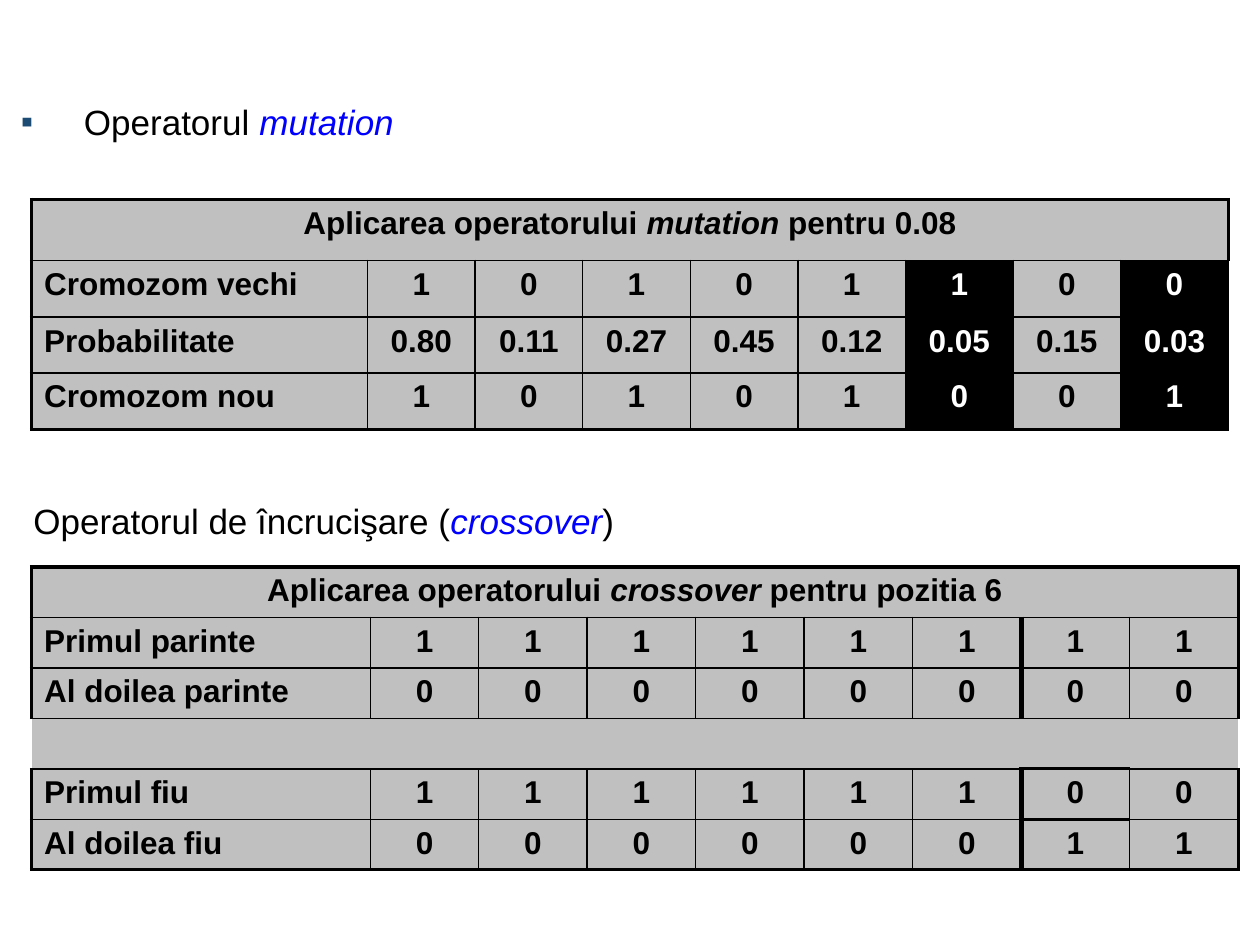
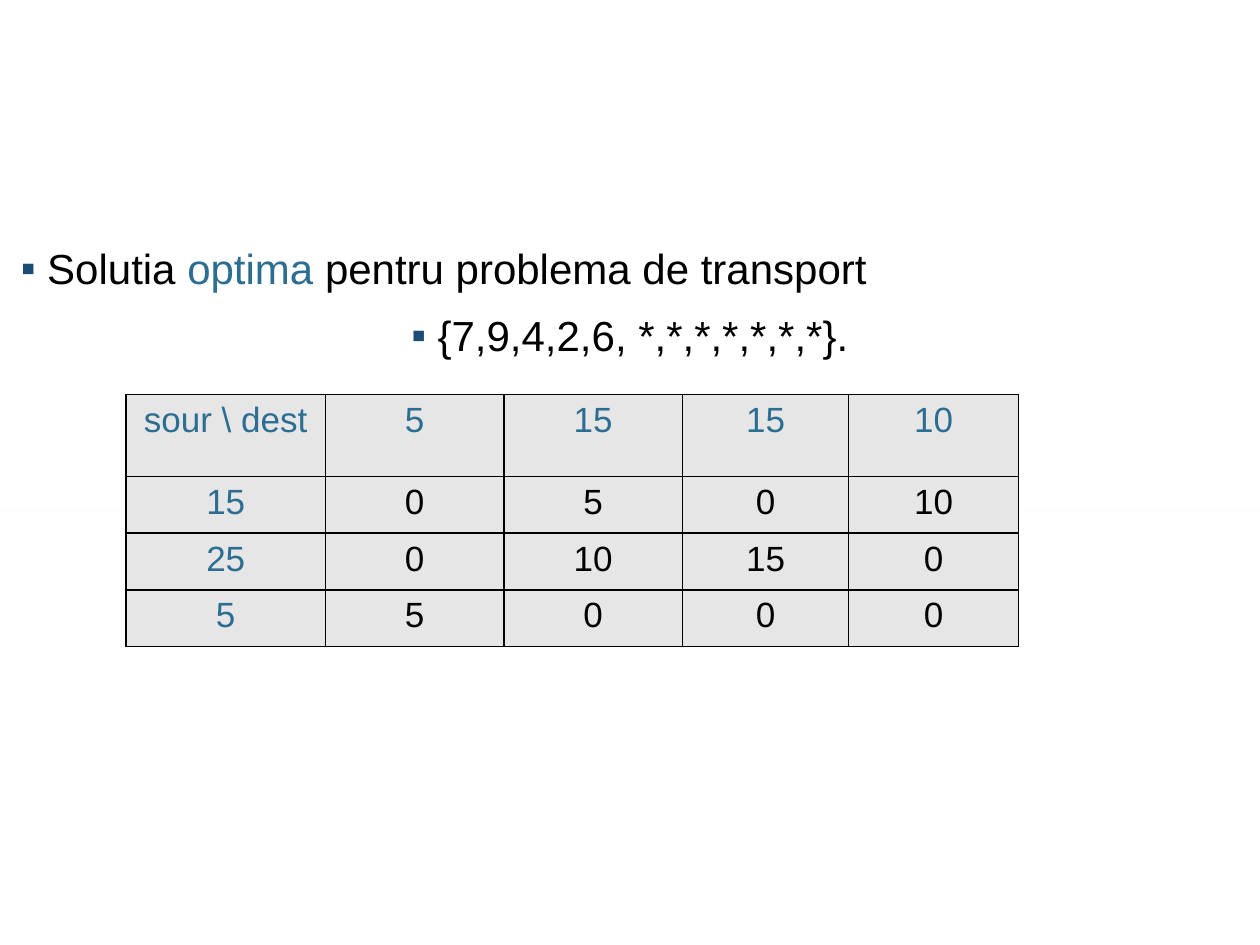
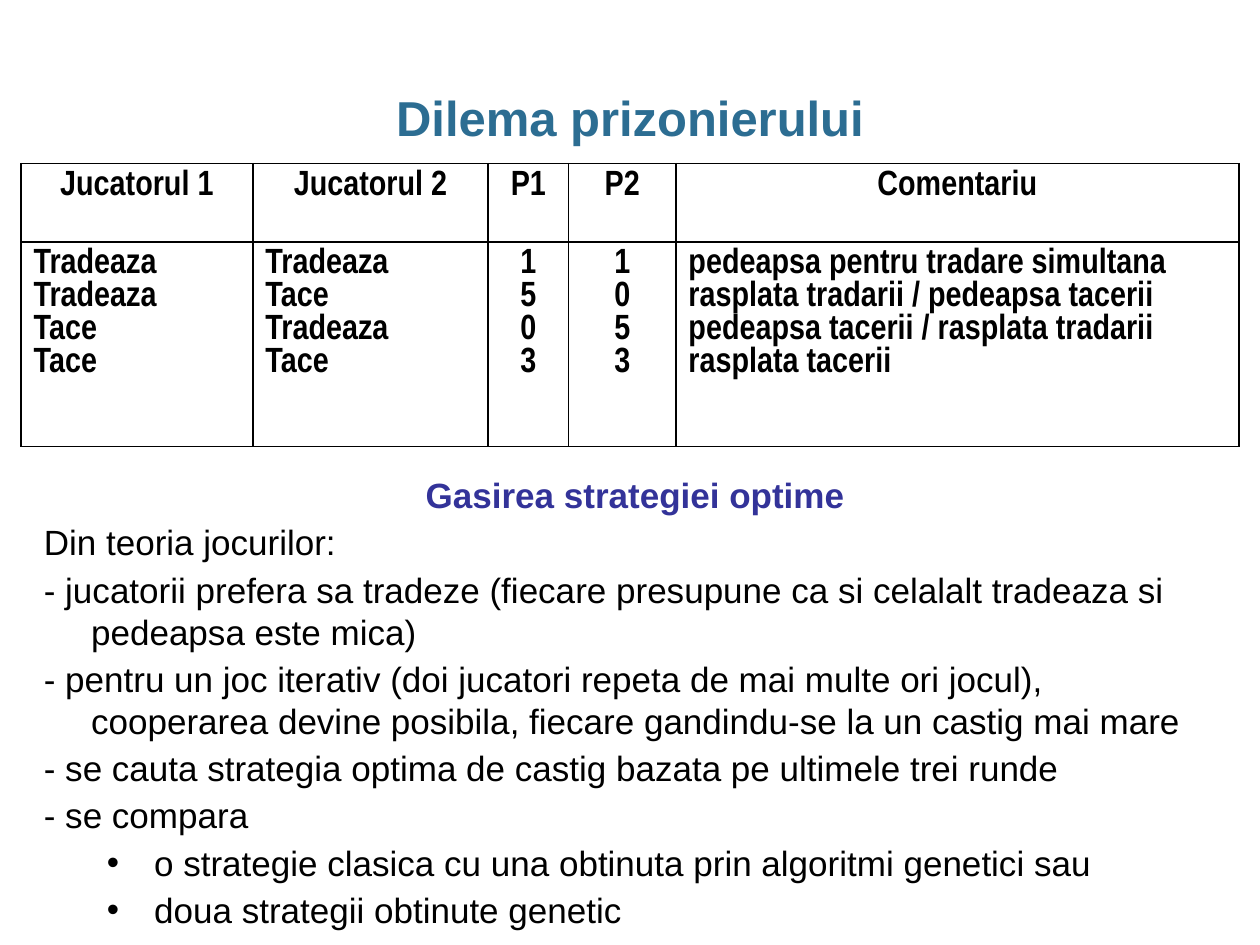
from dataclasses import dataclass

from lxml.etree import SubElement as Sub
from pptx import Presentation
from pptx.dml.color import RGBColor as Rgb
from pptx.enum.shapes import MSO_SHAPE as Form
from pptx.enum.text import PP_ALIGN as Align
from pptx.oxml.ns import qn
from pptx.util import Pt


@dataclass(frozen=True)
class Theme:
    black: str = "000000"
    white: str = "FFFFFF"
    blue: str = "0000FF"
    teal: str = "2C6D92"
    navy: str = "1C4C74"
    violet: str = "333399"
    grey: str = "C0C0C0"
    pale: str = "E6E6E6"
    font: str = "Arial"
    slim: str = "Arial Narrow"
    title: int = 28
    large: int = 24
    body: int = 20
    cell: int = 18


T = Theme()
MID, JUST = Align.CENTER, Align.JUSTIFY


# Text: a run is a string or a tuple of text and font changes
def put(para, runs, size=T.body, ink=T.black, font=T.font, bold=False):
    for item in [runs] if isinstance(runs, str) else runs:
        words, diff = (item, {}) if isinstance(item, str) else item
        run = para.add_run()
        run.text = words
        face = run.font
        face.name, face.size = font, Pt(size)
        face.bold, face.italic = bold, diff.get("slant", False)
        face.color.rgb = Rgb.from_string(diff.get("ink", ink))


def indent(para, left, hang, mark=None, ink=None):
    props = para._p.get_or_add_pPr()
    props.set("marL", str(Pt(left)))
    props.set("indent", str(Pt(-hang)))
    if ink:
        Sub(Sub(props, qn("a:buClr")), qn("a:srgbClr"), val=ink)
    if mark:
        Sub(props, qn("a:buFont"), typeface=T.font)
        Sub(props, qn("a:buChar"), char=mark)


def text_box(slide, box, side=7.2):
    frame = slide.shapes.add_textbox(*map(Pt, box)).text_frame
    frame.word_wrap = True
    frame.margin_left = frame.margin_right = Pt(side)
    return frame


def new_para(frame, first, align=None, lead=1.0, before=0, after=0):
    para = frame.paragraphs[0] if first else frame.add_paragraph()
    para.alignment, para.line_spacing = align, lead
    para.space_before, para.space_after = Pt(before), Pt(after)
    return para


def bullets(slide, box, lines, size, hang):
    frame = text_box(slide, box, side=0)
    for n, (align, runs) in enumerate(lines):
        para = new_para(frame, n == 0, align, before=0.4 * size)
        indent(para, hang, hang, "▪", T.navy)
        put(para, runs, size)


# Tables
def edge(cell, pens):
    props = cell._tc.get_or_add_tcPr()
    for side in "LRTB":
        width = pens.get(side, 1)
        line = Sub(props, qn("a:ln" + side), w=str(Pt(width)))
        if width:
            Sub(Sub(line, qn("a:solidFill")), qn("a:srgbClr"), val=T.black)
        else:
            Sub(line, qn("a:noFill"))


def grid(slide, spot, cols, rows, data, style, span=False):
    """style(row, col) gives pens, fill, align and the font options."""
    size = sum(cols), sum(rows)
    table = slide.shapes.add_table(
        len(rows), len(cols), *map(Pt, (*spot, *size))).table
    table.first_row = table.horz_banding = False
    for col, width in zip(table.columns, cols):
        col.width = Pt(width)
    for row, height in zip(table.rows, rows):
        row.height = Pt(height)
    for r in range(len(rows)):
        for c in range(len(cols)):
            cell = table.cell(r, c)
            pens, fill, align, face = style(r, c)
            edge(cell, pens)
            if fill:
                cell.fill.solid()
                cell.fill.fore_color.rgb = Rgb.from_string(fill)
            else:
                cell.fill.background()
            if c >= len(data[r]):
                continue
            runs = data[r][c]
            lines = runs.split("\n") if isinstance(runs, str) else [runs]
            for n, line in enumerate(lines):
                frame = cell.text_frame
                para = frame.paragraphs[0] if n == 0 else frame.add_paragraph()
                para.alignment = align
                put(para, line, **face)
    if span:
        table.cell(0, 0).merge(table.cell(0, len(cols) - 1))


def gene_row(name, values):
    return [name, *values.split()]


def gene_head(name, end):
    return [["Aplicarea operatorului ", (name, {"slant": True}), end]]


def mutation(slide, spot):
    data = [
        gene_head("mutation", " pentru 0.08"),
        gene_row("Cromozom vechi", "1 0 1 0 1 1 0 0"),
        gene_row("Probabilitate", "0.80 0.11 0.27 0.45 0.12 0.05 0.15 0.03"),
        gene_row("Cromozom nou", "1 0 1 0 1 0 0 1"),
    ]

    def style(r, c):
        pens = {"L": 2 if c == 0 else 1, "B": 2 if r == 3 else 1}
        if r == 0:
            pens = {"L": 2, "T": 2, "R": 2}
        hit = r > 0 and c in (6, 8)
        face = dict(size=T.cell, bold=True, ink=T.white if hit else T.black)
        align = JUST if r and c == 0 else MID
        return pens, T.black if hit else T.grey, align, face

    grid(slide, spot, [192] + [61.5] * 8, [34.8, 32.5, 31.8, 32.6],
         data, style, span=True)


def crossover(slide, spot):
    ones, zeros = "1 1 1 1 1 1 ", "0 0 0 0 0 0 "
    data = [
        gene_head("crossover", " pentru pozitia 6"),
        gene_row("Primul parinte", ones + "1 1"),
        gene_row("Al doilea parinte", zeros + "0 0"),
        [],
        gene_row("Primul fiu", ones + "0 0"),
        gene_row("Al doilea fiu", zeros + "1 1"),
    ]

    def style(r, c):
        if r == 0:
            pens = {"L": 2, "T": 2, "R": 2}
        elif r == 3:
            pens = {"L": 0, "R": 0, "B": 2 if c == 7 else 1}
        else:
            # The cut runs between genes 6 and 7
            pens = {"L": {0: 2, 7: 3}.get(c, 1),
                    "R": {6: 3, 8: 2}.get(c, 1),
                    "T": 2 if c == 7 and r > 3 else 1,
                    "B": 2 if r == 5 or (r == 4 and c == 7) else 1}
        align = JUST if r and c == 0 else MID
        return pens, T.grey, align, dict(size=T.cell, bold=True)

    grid(slide, spot, [193.6] + [62] * 8, [28.8] * 6, data, style, span=True)


def transport(slide, spot):
    data = [line.split("|") for line in (
        "sour \\ dest|5|15|15|10", "15|0|5|0|10", "25|0|10|15|0", "5|5|0|0|0")]

    def style(r, c):
        ink = T.black if r and c else T.teal
        return {}, T.pale, MID, dict(ink=ink)

    grid(slide, spot, [114, 102, 102, 95, 97], [46.8] + [32.4] * 3,
         data, style)


def payoff(slide, spot):
    data = [
        ["Jucatorul 1", "Jucatorul 2", "P1", "P2", "Comentariu"],
        ["Tradeaza\nTradeaza\nTace\nTace", "Tradeaza\nTace\nTradeaza\nTace",
         "1\n5\n0\n3", "1\n0\n5\n3",
         "pedeapsa pentru tradare simultana\n"
         "rasplata tradarii / pedeapsa tacerii\n"
         "pedeapsa tacerii / rasplata tradarii\n"
         "rasplata tacerii"],
    ]

    def style(r, c):
        align = JUST if r and c not in (2, 3) else MID
        return {}, None, align, dict(font=T.slim, bold=True)

    grid(slide, spot, [132.5, 134.5, 46, 61.3, 321.7], [44.8, 117],
         data, style)


def theory(slide, box):
    frame = text_box(slide, box)
    gaps = dict(before=0.1 * T.body, after=0.05 * T.body)
    head = new_para(frame, True, MID, **gaps)
    indent(head, 27, 27)
    put(head, "Gasirea strategiei optime", ink=T.violet, bold=True)
    lines = [
        "Din teoria jocurilor:",
        "- jucatorii prefera sa tradeze (fiecare presupune ca si celalalt "
        "tradeaza si pedeapsa este mica)",
        "- pentru un joc iterativ (doi jucatori repeta de mai multe ori jocul), "
        "cooperarea devine posibila, fiecare gandindu-se la un castig mai mare",
        "- se cauta strategia optima de castig bazata pe ultimele trei runde",
        "- se compara",
    ]
    points = [
        "o strategie clasica cu una obtinuta prin algoritmi genetici sau",
        "doua strategii obtinute genetic",
    ]
    for level, group in enumerate((lines, points)):
        for line in group:
            para = new_para(frame, False, **gaps)
            para.level = level
            indent(para, 27 + 36 * level, 27, "•" if level else None)
            put(para, line)


# Slides
def genes(slide):
    term = {"ink": T.blue, "slant": True}
    bullets(slide, (12, 54, 684, 36),
            [(None, ["Operatorul ", ("mutation", term)])], T.body, 36)
    mutation(slide, (18, 114))
    para = new_para(text_box(slide, (12, 282, 678, 31)), True)
    put(para, ["Operatorul de încrucişare (", ("crossover", term), ")"])
    crossover(slide, (18, 324))


def optimum(slide):
    bullets(slide, (12, 135, 696, 72), [
        (None, ["Solutia ", ("optima", {"ink": T.teal}),
                " pentru problema de transport"]),
        (MID, "{7,9,4,2,6, *,*,*,*,*,*,*}."),
    ], T.large, 15)
    # Hairline band behind the table
    band = slide.shapes.add_shape(Form.RECTANGLE, 0, Pt(291.6), Pt(720), 0)
    band.shadow.inherit = False
    band.fill.solid()
    band.fill.fore_color.rgb = Rgb.from_string(T.pale)
    band.line.fill.background()
    transport(slide, (72, 225.4))


def dilemma(slide):
    frame = text_box(slide, (25, 49, 670, 36), side=0)
    put(new_para(frame, True, MID, lead=0.95), "Dilema prizonierului",
        T.title, T.teal, bold=True)
    payoff(slide, (12, 93.5))
    theory(slide, (18, 267, 690, 273))


def main():
    deck = Presentation()
    deck.slide_width, deck.slide_height = Pt(720), Pt(540)
    for build in (genes, optimum, dilemma):
        build(deck.slides.add_slide(deck.slide_layouts[6]))
    deck.save("out.pptx")


if __name__ == "__main__":
    main()
